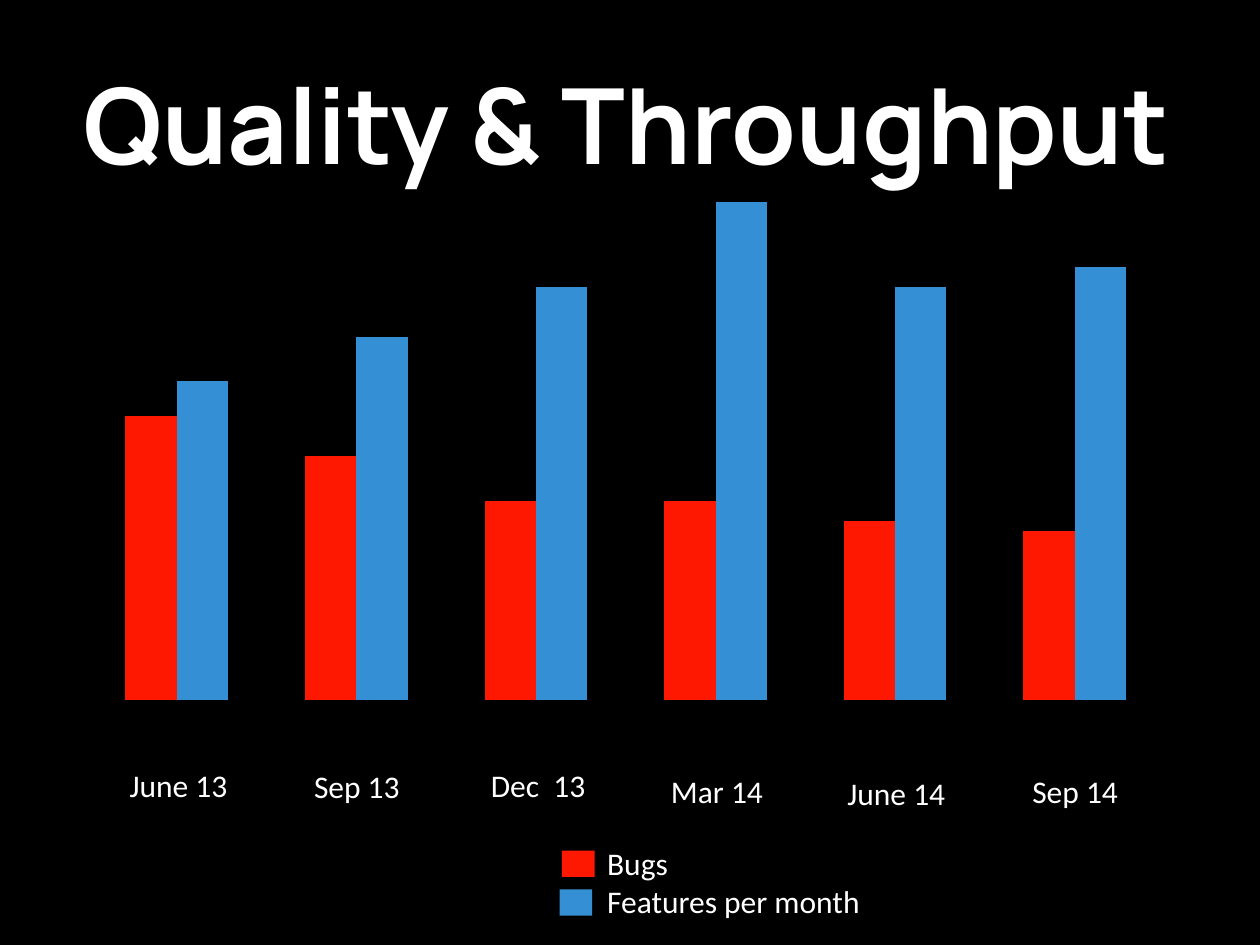
from lxml import etree
from pptx import Presentation
from pptx.chart.data import CategoryChartData
from pptx.dml.color import RGBColor
from pptx.enum.chart import XL_CHART_TYPE as CT
from pptx.enum.shapes import MSO_SHAPE
from pptx.enum.text import MSO_ANCHOR, MSO_AUTO_SIZE, PP_ALIGN
from pptx.oxml.ns import qn
from pptx.util import Cm, Pt

RED, BLUE, WHITE, BLACK = "FF1801", "358FD5", "FFFFFF", "000000"


def rgb(code):
    return RGBColor.from_string(code)


def write(s, lines, size, font, align, bold=False):
    tf = s.text_frame
    tf.word_wrap = True
    tf.auto_size = MSO_AUTO_SIZE.SHAPE_TO_FIT_TEXT
    tf.vertical_anchor = MSO_ANCHOR.TOP
    for i, line in enumerate(lines):
        p = tf.add_paragraph() if i else tf.paragraphs[0]
        p.alignment = align
        r = p.add_run()
        r.text = line
        r.font.size, r.font.name, r.font.bold = Pt(size), font, bold
        r.font.color.rgb = rgb(WHITE)


prs = Presentation()
prs.slide_width, prs.slide_height = Cm(25.4), Cm(19.05)
slide = prs.slides.add_slide(prs.slide_layouts[5])
slide.background.fill.solid()
slide.background.fill.fore_color.rgb = rgb(BLACK)

# Title
title = slide.shapes.title
title.left, title.top, title.width, title.height = Cm(0.66), Cm(1.07), Cm(23.93), Cm(2.82)
write(title, ["Quality & Throughput"], 60, "Manrope", PP_ALIGN.CENTER, True)

# Column chart without axes
data = CategoryChartData()
data.categories = ["1", "2", "3", "4", "5", "6"]
data.add_series("Series 1", (57, 49, 40, 40, 36, 34))
data.add_series("Series 2", (64, 73, 83, 100, 83, 87))
chart = slide.shapes.add_chart(CT.COLUMN_CLUSTERED, Cm(1.3), Cm(2.41),
                               Cm(22.63), Cm(11.94), data).chart
chart.has_legend = chart.has_title = False
chart.font.size, chart.font.name = Pt(10), "Calibri"
chart.font.color.rgb = rgb(BLACK)
chart.value_axis.minimum_scale, chart.value_axis.maximum_scale = 0, 100
chart.value_axis.has_major_gridlines = False
chart.value_axis.visible = chart.category_axis.visible = False
plot = chart.plots[0]
plot.gap_width, plot.overlap, plot.vary_by_categories = 150, 0, False
for series, color in zip(plot.series, (RED, BLUE)):
    series.format.fill.solid()
    series.format.fill.fore_color.rgb = rgb(color)

# Fixed plot area inside the chart
area = chart.element.find(".//" + qn("c:plotArea"))
for old in area.findall(qn("c:layout")):
    area.remove(old)
layout = etree.Element(qn("c:layout"))
manual = etree.SubElement(layout, qn("c:manualLayout"))
for tag, val in (("layoutTarget", "inner"), ("xMode", "edge"), ("yMode", "edge"),
                 ("x", "0.02"), ("y", "0.14"), ("w", "0.96"), ("h", "0.84")):
    etree.SubElement(manual, qn("c:" + tag)).set("val", val)
area.insert(0, layout)

# Month labels: text, left, top, width
months = [
    ("June 13", 2.29, 15.32, 2.62),
    ("Sep 13", 5.94, 15.34, 2.51),
    ("Dec  13", 9.53, 15.32, 2.64),
    ("Mar 14", 12.88, 15.44, 3.15),
    ("June 14", 16.76, 15.47, 2.62),
    ("Sep 14", 20.42, 15.44, 2.51),
]
for month, left, top, width in months:
    s = slide.shapes.add_textbox(Cm(left), Cm(top), Cm(width), Cm(1.02))
    write(s, [month], 18, "Calibri", PP_ALIGN.CENTER)

# Legend
s = slide.shapes.add_textbox(Cm(11.99), Cm(16.89), Cm(7.75), Cm(1.8))
write(s, ["Bugs", "Features per month"], 18, "Calibri", PP_ALIGN.LEFT)
for left, top, color in ((11.33, 17.15, RED), (11.28, 17.93, BLUE)):
    s = slide.shapes.add_shape(MSO_SHAPE.RECTANGLE, Cm(left), Cm(top), Cm(0.66), Cm(0.53))
    s.shadow.inherit = False
    s.fill.solid()
    s.fill.fore_color.rgb = rgb(color)
    s.line.fill.background()

prs.save("out.pptx")
